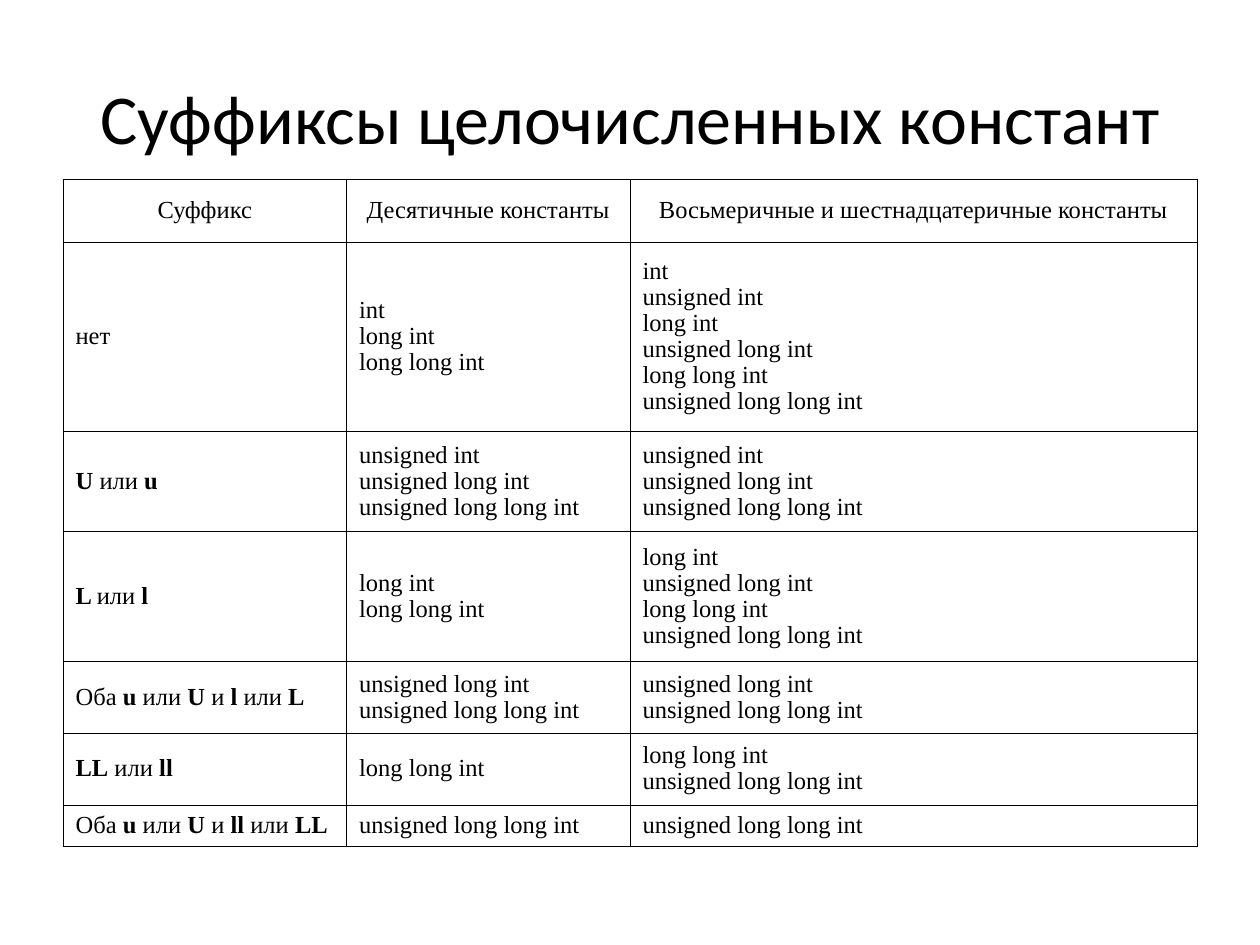
from dataclasses import dataclass
from typing import NamedTuple

from lxml.etree import SubElement as Sub
from pptx import Presentation
from pptx.dml.color import RGBColor as Rgb
from pptx.enum.text import MSO_ANCHOR as Anchor, PP_ALIGN as Align
from pptx.oxml.ns import qn
from pptx.util import Inches, Pt


@dataclass(frozen=True)
class Theme:
    ink: str = "000000"
    head: str = "Calibri"
    body: str = "Times New Roman"
    big: int = 40
    small: int = 14
    rule: float = 0.45
    lead: float = 0.96
    hang: float = 0.38


class Row(NamedTuple):
    height: float
    cells: tuple[str, str, str]


THEME = Theme()
WIDE, HIGH = 10, 7.5
EDGE = WIDE / 20
SPAN = WIDE - 2 * EDGE
SHARES = (1, 1, 2)
TOP = 1.42

INT = "int"
UINT = "unsigned int"
LONG = "long int"
ULONG = "unsigned long int"
LLONG = "long long int"
ULLONG = "unsigned long long int"


def stack(*kinds: str) -> str:
    return "\n".join(kinds)


ROWS = (
    Row(0.5, ("Суффикс", "Десятичные константы",
              "Восьмеричные и шестнадцатеричные константы")),
    Row(1.5, ("нет", stack(INT, LONG, LLONG),
              stack(INT, UINT, LONG, ULONG, LLONG, ULLONG))),
    Row(0.8, ("*U *или *u*", stack(UINT, ULONG, ULLONG),
              stack(UINT, ULONG, ULLONG))),
    Row(1.03, ("*L *или *l*", stack(LONG, LLONG),
               stack(LONG, ULONG, LLONG, ULLONG))),
    Row(0.57, ("Оба *u *или *U *и *l *или *L*", stack(ULONG, ULLONG),
               stack(ULONG, ULLONG))),
    Row(0.57, ("*LL* или *ll*", LLONG, stack(LLONG, ULLONG))),
    Row(0.33, ("Оба *u *или *U *и *ll *или *LL*", ULLONG, ULLONG)),
)


def write(frame, text: str, *, font: str, size: int, align=Align.LEFT,
          lead: float = 1.0, hang: float = 0) -> None:
    for num, line in enumerate(text.split("\n")):
        para = frame.add_paragraph() if num else frame.paragraphs[0]
        para.alignment = align
        para.line_spacing = lead
        if hang:
            props = para._p.get_or_add_pPr()
            props.set("marL", str(Inches(hang)))
            props.set("indent", str(-Inches(hang)))
        for pos, part in enumerate(line.split("*")):
            if part:
                run = para.add_run()
                run.text = part
                run.font.name = font
                run.font.size = Pt(size)
                run.font.bold = pos % 2 == 1
                run.font.color.rgb = Rgb.from_string(THEME.ink)


def frame_cell(cell) -> None:
    props = cell._tc.get_or_add_tcPr()
    for side in ("lnL", "lnR", "lnT", "lnB"):
        edge = Sub(props, qn(f"a:{side}"), w=str(Pt(THEME.rule)))
        fill = Sub(edge, qn("a:solidFill"))
        Sub(fill, qn("a:srgbClr"), val=THEME.ink)
    cell.fill.background()


def add_title(slide, text: str) -> None:
    box = slide.shapes.add_textbox(
        Inches(EDGE), Inches(HIGH / 25), Inches(SPAN), Inches(HIGH / 6))
    box.text_frame.word_wrap = True
    box.text_frame.vertical_anchor = Anchor.MIDDLE
    write(box.text_frame, text, font=THEME.head, size=THEME.big,
          align=Align.CENTER)


def add_grid(slide, rows: tuple[Row, ...]) -> None:
    total = sum(row.height for row in rows)
    table = slide.shapes.add_table(
        len(rows), len(SHARES), Inches(EDGE), Inches(TOP),
        Inches(SPAN), Inches(total)).table
    table.first_row = table.horz_banding = False
    for col, share in zip(table.columns, SHARES):
        col.width = Inches(SPAN * share / sum(SHARES))
    for num, row in enumerate(rows):
        table.rows[num].height = Inches(row.height)
        for cell, text in zip(table.rows[num].cells, row.cells):
            cell.vertical_anchor = Anchor.MIDDLE
            frame_cell(cell)
            write(cell.text_frame, text, font=THEME.body, size=THEME.small,
                  align=Align.LEFT if num else Align.CENTER,
                  lead=THEME.lead, hang=THEME.hang)


def main() -> None:
    deck = Presentation()
    deck.slide_width, deck.slide_height = Inches(WIDE), Inches(HIGH)
    slide = deck.slides.add_slide(deck.slide_layouts[6])
    add_title(slide, "Суффиксы целочисленных констант")
    add_grid(slide, ROWS)
    deck.save("out.pptx")


if __name__ == "__main__":
    main()
